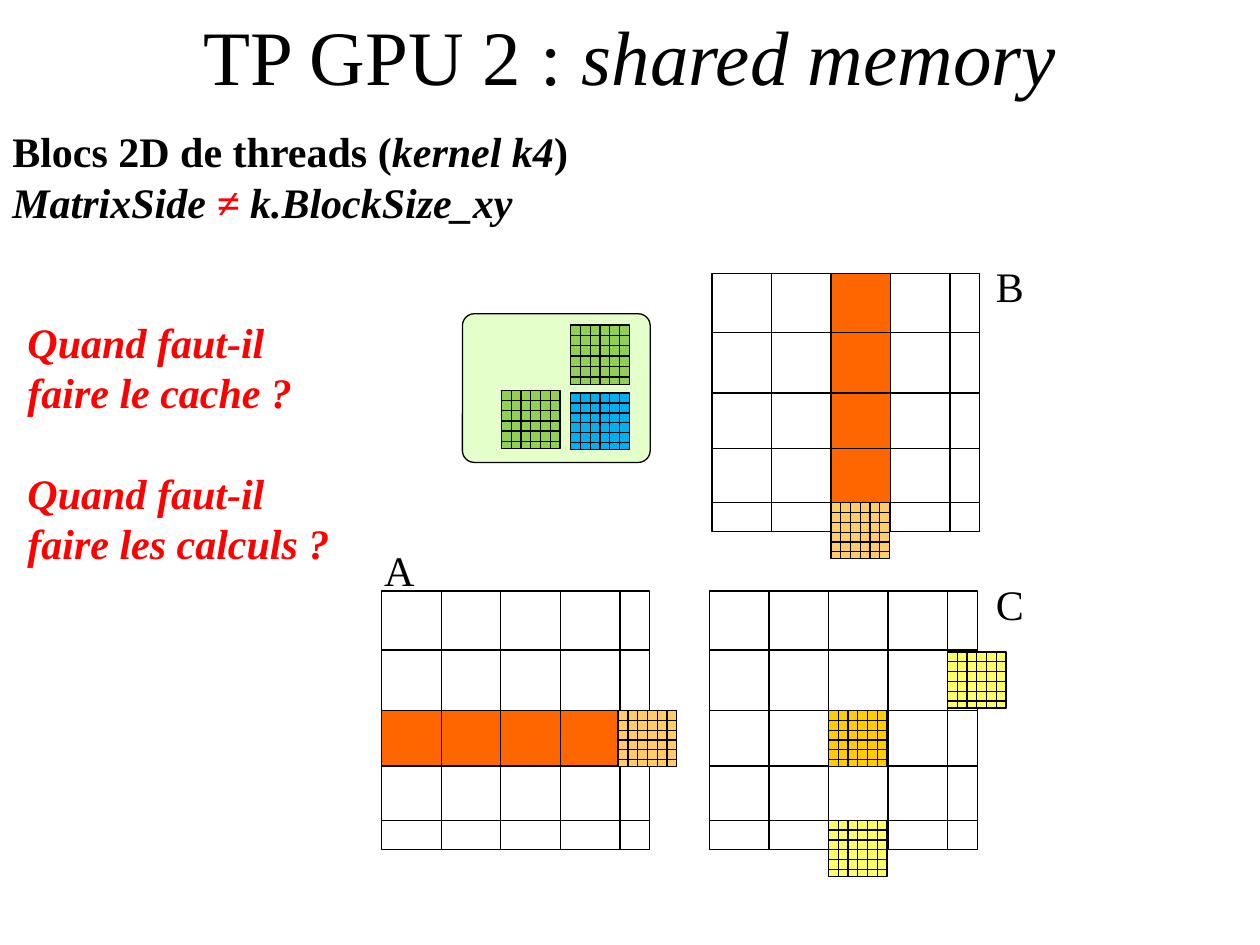
"""Build the shared-memory slide: blocked matrices A, B, C and their cached tiles."""
from lxml import etree
from pptx import Presentation, util as u
from pptx.dml.color import RGBColor
from pptx.enum import shapes, text
from pptx.oxml.ns import qn

INK = {"black": "000000", "white": "FFFFFF", "red": "FF0000", "mint": "CCFF99",
       "green": "92D050", "blue": "00B0F0", "orange": "FF6600", "peach": "FFCC66",
       "gold": "FFCC00", "yellow": "FFFF66"}
COLUMN = 0.4725
COLUMNS = [COLUMN * n for n in (0, 1, 2, 3, 4, 4.5)]
ROWS = [0, 0.47, 0.95, 1.39, 1.82, 2.05]
TILE_WIDTH, TILE_HEIGHT = 0.465, 0.445


def lattice(parts, left, top, columns, rows, fill=None):
    width, height = columns[-1], rows[-1]
    frame = parts.add_shape(shapes.MSO_SHAPE.RECTANGLE,
                            *map(u.Inches, (left, top, width, height)))
    frame.shadow.inherit = False
    if fill:
        frame.fill.solid()
        frame.fill.fore_color.rgb = RGBColor.from_string(INK[fill])
    else:
        frame.fill.background()
    rules = [(x, height, x, 0) for x in columns[1:-1]]
    rules += [(0, y, width, y) for y in rows[1:-1]]
    outlines = [frame.line]
    for x1, y1, x2, y2 in rules:
        rule = parts.add_connector(shapes.MSO_CONNECTOR.STRAIGHT, *map(
            u.Inches, (left + x1, top + y1, left + x2, top + y2)))
        etree.SubElement(rule._element.spPr, qn("a:effectLst"))
        if x1 == x2 and abs(x1 - width / 2) < 0.001:
            rule.begin_connect(frame, 2)
            rule.end_connect(frame, 0)
        outlines.append(rule.line)
    for outline in outlines:
        outline.color.rgb = RGBColor.from_string(INK["black"])
        outline.width = u.Pt(0.75)


def write(box, paragraphs, size=24, wrap=False, align=text.PP_ALIGN.LEFT, gap=0,
          anchor=text.MSO_ANCHOR.TOP, fit=text.MSO_AUTO_SIZE.SHAPE_TO_FIT_TEXT):
    frame = slide.shapes.add_textbox(*map(u.Inches, box)).text_frame
    for name, value in {"word_wrap": wrap, "auto_size": fit, "vertical_anchor": anchor}.items():
        setattr(frame, name, value)
    for index, pieces in enumerate(paragraphs):
        paragraph = frame.add_paragraph() if index else frame.paragraphs[0]
        paragraph.alignment = align
        if index and gap:
            paragraph.space_before = u.Pt(gap)
        for words, style, color in pieces:
            run = paragraph.add_run()
            run.text = words
            look = {"name": "Times New Roman", "size": u.Pt(size),
                    "bold": "b" in style, "italic": "i" in style}
            for name, value in look.items():
                setattr(run.font, name, value)
            run.font.color.rgb = RGBColor.from_string(INK[color])


deck = Presentation()
deck.slide_width, deck.slide_height = u.Inches(10), u.Inches(7.5)
slide = deck.slides.add_slide(deck.slide_layouts[6])

write((0.75, 0.03, 8.5, 0.81),
      [[("TP GPU 2 : ", "", "black"), ("shared memory", "i", "black")]],
      size=44, wrap=True, align=text.PP_ALIGN.CENTER,
      anchor=text.MSO_ANCHOR.MIDDLE, fit=text.MSO_AUTO_SIZE.NONE)
write((0, 0.95, 4.66, 0.91),
      [[("Blocs 2D de threads (", "b", "black"), ("kernel k4", "bi", "black"), (")", "b", "black")],
       [("MatrixSide ", "bi", "black"), ("≠ ", "bi", "red"), ("k.BlockSize_xy", "bi", "black")]])

cache = slide.shapes.add_shape(shapes.MSO_SHAPE.ROUNDED_RECTANGLE,
                               *map(u.Inches, (3.67, 2.49, 1.49, 1.18)))
cache.adjustments[0] = 0.08
cache.shadow.inherit = False
cache.fill.solid()
cache.fill.fore_color.rgb = RGBColor.from_string(INK["mint"])
tint = cache._element.spPr.find(qn("a:solidFill"))[0]
etree.SubElement(tint, qn("a:alpha"), val="50000")
cache.line.color.rgb = RGBColor.from_string(INK["black"])
cache.line.width = u.Pt(0.75)

for name, left, top in (("B", 7.8, 2.02), ("A", 2.95, 4.27), ("C", 7.8, 4.54)):
    write((left, top, 0.43, 0.5), [[(name, "", "black")]], align=text.PP_ALIGN.CENTER)

matrices = [
    (5.63, 4.69, "white", None,
     [(2, 2, "gold", TILE_HEIGHT), (4, 1.03, "yellow", TILE_HEIGHT),
      (2, 4, "yellow", TILE_HEIGHT)]),
    (3.03, 4.69, None, (0, ROWS[2], COLUMNS[-1], ROWS[3] - ROWS[2]),
     [(3.97, 2, "peach", TILE_HEIGHT)]),
    (5.65, 2.17, None, (COLUMNS[2], 0, COLUMN, ROWS[-1]),
     [(2, 4, "peach", TILE_HEIGHT)]),
    (3.98, 3.1, None, None, [(0, 0, "green", 0.46)]),
    (4.53, 2.58, None, None, [(0, 0, "green", 0.47)]),
    (4.53, 3.12, None, None, [(0, 0, "blue", 0.45)]),
]
for left, top, fill, band, tiles in matrices:
    parts = slide.shapes.add_group_shape().shapes
    if band:
        x, y, width, height = band
        lattice(parts, left + x, top + y, [0, width], [0, height], "orange")
    if fill or band:
        lattice(parts, left, top, COLUMNS, ROWS, fill)
    for column, row, color, height in tiles:
        y = ROWS[int(row)] + (row - int(row)) * COLUMN
        lattice(parts, left + column * COLUMN, top + y,
                [TILE_WIDTH * n / 6 for n in range(7)],
                [height * 0.175 * n for n in range(6)] + [height], color)

write((0.12, 2.46, 2.76, 2.12),
      [[("Quand faut-il faire le cache ?", "bi", "red")],
       [("Quand faut-il faire les calculs ?", "bi", "red")]], wrap=True, gap=28.8)

deck.save("out.pptx")
